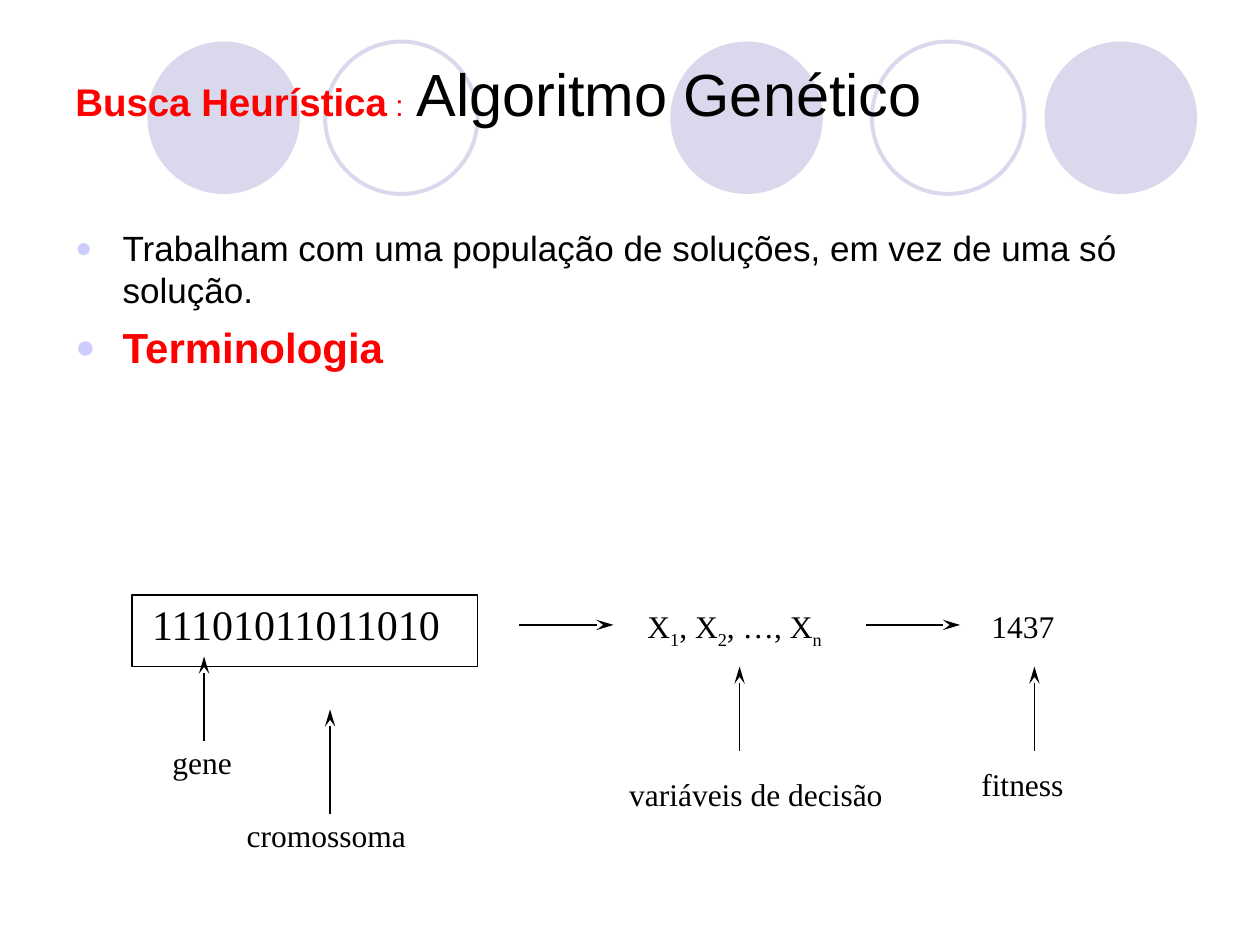
from lxml.etree import SubElement
from pptx import Presentation
from pptx.dml.color import RGBColor
from pptx.enum.shapes import MSO_CONNECTOR as Connector, MSO_SHAPE as Shape
from pptx.enum.text import MSO_ANCHOR as Anchor, PP_ALIGN as Align
from pptx.oxml.ns import qn
from pptx.util import Inches, Pt

BLACK, RED, WHITE = "000000", "FF0000", "FFFFFF"
LILAC, BULLET = "D9D8EC", "CCCCFF"
SANS, SERIF = "Arial", "Times New Roman"
CIRCLE_SIZE, CIRCLE_TOP = 1.21, 0.33
MARGIN, CONTENT_WIDTH = 0.5, 9
FLOW_Y = 4.96      # axis of the horizontal arrows
FLOW_LENGTH = 0.75
POINTER_LENGTH = 0.67


def color(hex_string):
    return RGBColor.from_string(hex_string)


def add_outline(slide, kind, box, fill=None, line=None, width=1):
    shape = slide.shapes.add_shape(kind, *map(Inches, box))
    shape.shadow.inherit = False
    if fill:
        shape.fill.solid()
        shape.fill.fore_color.rgb = color(fill)
    else:
        shape.fill.background()
    if line:
        shape.line.color.rgb = color(line)
        shape.line.width = Pt(width)
    else:
        shape.line.fill.background()


def add_frame(slide, box, wrap=False, anchor=Anchor.TOP):
    frame = slide.shapes.add_textbox(*map(Inches, box)).text_frame
    frame.word_wrap = wrap
    frame.vertical_anchor = anchor
    return frame


def add_run(paragraph, text, size=18, font=SERIF, ink=BLACK, bold=False, subscript=False):
    run = paragraph.add_run()
    run.text = text
    run.font.size = Pt(size)
    run.font.name = font
    run.font.bold = bold
    run.font.color.rgb = color(ink)
    if subscript:
        run.font._element.set("baseline", "-25000")


def add_label(slide, text, box, align=Align.LEFT, **style):
    paragraph = add_frame(slide, box).paragraphs[0]
    paragraph.alignment = align
    add_run(paragraph, text, **style)


def add_bullet(paragraph, space_before):
    paragraph.space_before = Pt(space_before)
    props = paragraph._p.get_or_add_pPr()
    props.set("marL", str(Inches(0.375)))
    props.set("indent", str(Inches(-0.375)))
    SubElement(SubElement(props, qn("a:buClr")), qn("a:srgbClr"), val=BULLET)
    SubElement(props, qn("a:buSzPct"), val="80000")
    SubElement(props, qn("a:buFont"), typeface=SANS)
    SubElement(props, qn("a:buChar"), char="●")


def add_arrow(slide, start, end):
    arrow = slide.shapes.add_connector(Connector.STRAIGHT, *map(Inches, start + end))
    arrow.line.color.rgb = color(BLACK)
    arrow.line.width = Pt(1)
    SubElement(arrow.line._get_or_add_ln(), qn("a:tailEnd"), type="stealth", w="med", len="lg")
    SubElement(arrow._element.spPr, qn("a:effectLst"))


def add_pointer(slide, x, bottom, length=POINTER_LENGTH):
    add_arrow(slide, (x, bottom), (x, bottom - length))


def add_circles(slide):
    for left, filled in ((5.32, True), (8.29, True), (1.17, True), (6.92, False), (2.58, False)):
        style = {"fill": LILAC} if filled else {"line": LILAC, "width": 2.25}
        add_outline(slide, Shape.OVAL, (left, CIRCLE_TOP, CIRCLE_SIZE, CIRCLE_SIZE), **style)


def add_title(slide):
    title = add_frame(slide, (MARGIN, 0.3, CONTENT_WIDTH, 0.87), True, Anchor.MIDDLE).paragraphs[0]
    add_run(title, "Busca Heurística", size=22, font=SANS, ink=RED, bold=True)
    add_run(title, " :", size=17, font=SANS, ink=RED)
    add_run(title, " ", size=26, font=SANS)
    add_run(title, "Algoritmo Genético", size=34, font=SANS)


def add_topics(slide):
    body = add_frame(slide, (MARGIN, 1.75, CONTENT_WIDTH, 4.95), wrap=True)
    population, terminology = body.paragraphs[0], body.add_paragraph()
    add_bullet(population, 5)
    add_run(population, "Trabalham com uma população de soluções, em vez de uma só solução.",
            size=20, font=SANS)
    add_bullet(terminology, 6)
    add_run(terminology, "Terminologia", size=24, font=SANS, ink=RED, bold=True)


def add_diagram(slide):
    # Chromosome with its parts
    add_outline(slide, Shape.RECTANGLE, (1.05, 4.72, 2.74, 0.57), fill=WHITE, line=BLACK)
    add_label(slide, "11101011011010", (1.11, 4.7, 2.54, 0.5), size=24)
    add_pointer(slide, 2.62, 6.46, length=0.83)
    add_label(slide, "cromossoma", (1.86, 6.43, 1.47, 0.4))
    add_pointer(slide, 1.62, 5.88)
    add_label(slide, "gene", (1.27, 5.85, 0.67, 0.4))

    # Flow from chromosome to variables to fitness
    for x in (4.12, 6.87):
        add_arrow(slide, (x, FLOW_Y), (x + FLOW_LENGTH, FLOW_Y))

    # Decision variables
    variables = add_frame(slide, (5.04, 4.77, 1.59, 0.44)).paragraphs[0]
    for name, index in (("X", "1"), (", X", "2"), (", …, X", "n")):
        add_run(variables, name)
        add_run(variables, index, subscript=True)
    add_pointer(slide, 5.87, 5.96)
    add_label(slide, "variáveis de decisão", (4.89, 6.1, 2.22, 0.4), align=Align.CENTER)

    # Fitness
    add_label(slide, "1437", (7.77, 4.77, 0.7, 0.4))
    add_pointer(slide, 8.21, 5.96)
    add_label(slide, "fitness", (7.69, 6.02, 0.86, 0.4))


def main():
    deck = Presentation()
    deck.slide_width, deck.slide_height = Inches(10), Inches(7.5)
    slide = deck.slides.add_slide(deck.slide_layouts[6])
    add_circles(slide)
    add_title(slide)
    add_topics(slide)
    add_diagram(slide)
    deck.save("out.pptx")


if __name__ == "__main__":
    main()
